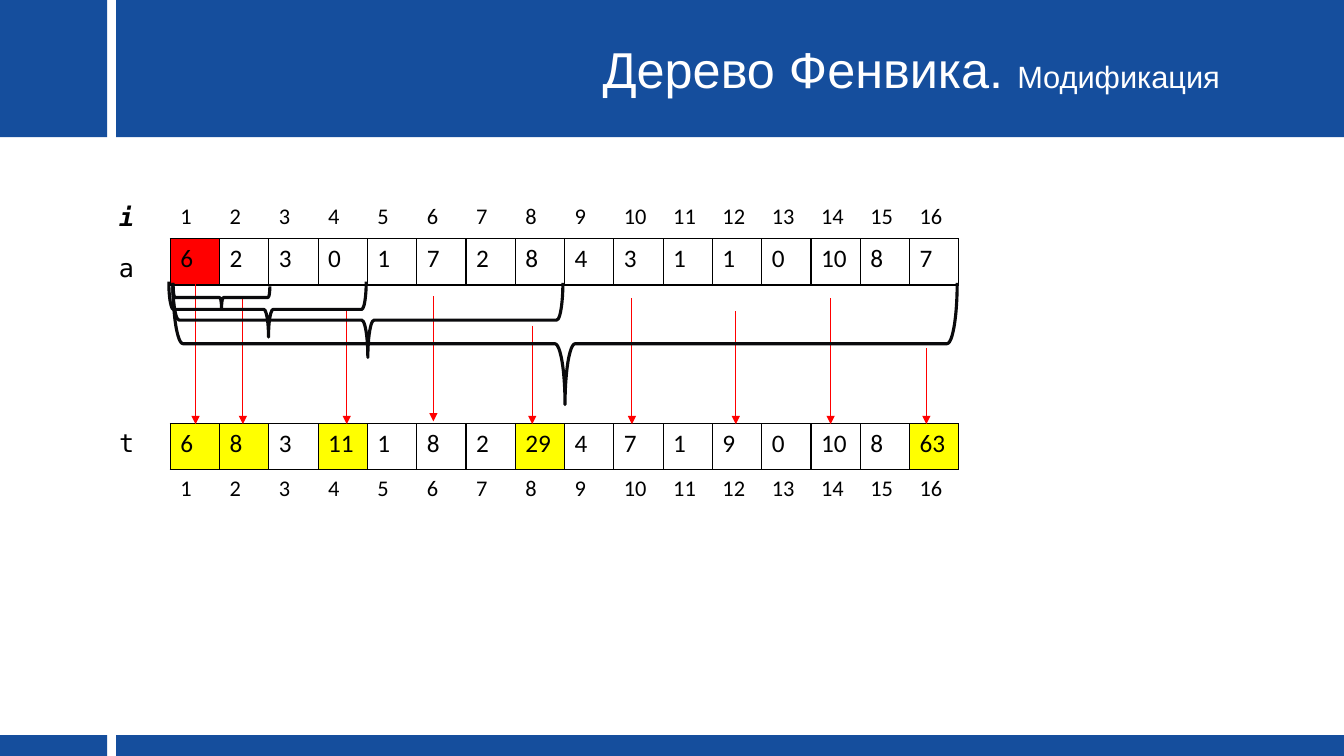
import pptx
import pptx.dml.color
import pptx.enum.shapes
import pptx.enum.text
import pptx.oxml
import pptx.oxml.ns
import pptx.util

Pt = pptx.util.Pt
MSO_SHAPE = pptx.enum.shapes.MSO_SHAPE
COLORS = {"band": "154E9D", "white": "FFFFFF", "black": "000000", "brace": "0A0A0C",
          "arrow": "FF0000", "changed": "FF0000", "updated": "FFFF00"}
PLAIN_TABLE_STYLE = "{2D5ABB26-0587-4C30-8999-92F81FD0307C}"


def rgb(name):
    return pptx.dml.color.RGBColor.from_string(COLORS[name])


def drawing_xml(tag, attributes="", content=""):
    namespace = pptx.oxml.ns.nsdecls("a")
    return pptx.oxml.parse_xml(f"<a:{tag} {namespace} {attributes}>{content}</a:{tag}>")


class SlideBuilder:
    body_font = "Calibri"
    title_font = "Arial"
    code_font = "DejaVu Sans Mono"

    def __init__(self, slide):
        self.slide = slide
        self.shapes = slide.shapes

    def style_font(self, font, size, name, color="black"):
        font.size = Pt(size)
        font.name = name
        font.color.rgb = rgb(color)

    def band(self, left, top, width, height):
        band = self.shapes.add_shape(MSO_SHAPE.RECTANGLE, Pt(left), Pt(top), Pt(width), Pt(height))
        band.shadow.inherit = False
        band.fill.solid()
        band.fill.fore_color.rgb = rgb("band")
        band.line.fill.background()

    def title(self, left, top, width, height, parts):
        title = self.shapes.add_textbox(Pt(left), Pt(top), Pt(width), Pt(height))
        frame = title.text_frame
        frame.word_wrap = True
        frame.vertical_anchor = pptx.enum.text.MSO_ANCHOR.MIDDLE
        paragraph = frame.paragraphs[0]
        paragraph.alignment = pptx.enum.text.PP_ALIGN.CENTER
        for text, size in parts:
            run = paragraph.add_run()
            run.text = text
            self.style_font(run.font, size, self.title_font, "white")

    def label(self, left, top, width, height, text):
        label = self.shapes.add_textbox(Pt(left), Pt(top), Pt(width), Pt(height))
        label.text_frame.word_wrap = False
        label.text_frame.text = text
        self.style_font(label.text_frame.paragraphs[0].font, 18, self.code_font)

    def table(self, left, top, column_widths, row_heights):
        table = self.shapes.add_table(len(row_heights), len(column_widths), Pt(left), Pt(top),
                                      Pt(sum(column_widths)), Pt(sum(row_heights))).table
        table.first_row = False
        table.horz_banding = False
        table._tbl.tblPr.find(pptx.oxml.ns.qn("a:tableStyleId")).text = PLAIN_TABLE_STYLE
        for column, width in zip(table.columns, column_widths):
            column.width = Pt(width)
        for row, height in zip(table.rows, row_heights):
            row.height = Pt(height)
            for cell in row.cells:
                cell.fill.background()
        return table

    def cell_text(self, cell, text, size, name=body_font):
        cell.text = str(text)
        font = cell.text_frame.paragraphs[0].font
        self.style_font(font, size, name)
        return font

    def framed_cell(self, cell, text, fill):
        self.cell_text(cell, text, 18)
        properties = cell._tc.get_or_add_tcPr()
        color = COLORS["black"]
        solid = f'<a:solidFill><a:srgbClr val="{color}"/></a:solidFill>'
        for position, side in enumerate(("lnL", "lnR", "lnT", "lnB")):
            properties.insert(position, drawing_xml(side, f'w="{Pt(1)}"', solid))
        cell.fill.solid()
        cell.fill.fore_color.rgb = rgb(fill)

    def arrow(self, x, top, bottom):
        arrow = self.shapes.add_connector(pptx.enum.shapes.MSO_CONNECTOR.STRAIGHT,
                                          Pt(x), Pt(top), Pt(x), Pt(bottom))
        arrow.line.color.rgb = rgb("arrow")
        arrow.line.width = Pt(0.75)
        arrow.line._get_or_add_ln().append(drawing_xml("tailEnd", 'type="triangle"'))
        arrow._element.spPr.append(drawing_xml("effectLst"))

    def brace_below(self, left, top, span, depth, tip=0.5):
        shift = (span - depth) / 2
        brace = self.shapes.add_shape(MSO_SHAPE.LEFT_BRACE, Pt(left + shift), Pt(top - shift),
                                      Pt(depth), Pt(span))
        brace.rotation = 270
        brace.adjustments[1] = tip
        brace.shadow.inherit = False
        brace.fill.background()
        brace.line.color.rgb = rgb("brace")
        brace.line.width = Pt(2.25)


def main():
    presentation = pptx.Presentation()
    presentation.slide_width = Pt(960)
    presentation.slide_height = Pt(540)
    builder = SlideBuilder(presentation.slides.add_slide(presentation.slide_layouts[6]))

    for top, height in ((0, 98), (525, 15)):
        for left, width in ((0, 76.5), (83, 877)):
            builder.band(left, top, width, height)
    builder.title(374.4, 11.5, 553, 75, [("Дерево Фенвика. ", 36), ("Модификация", 22)])

    source_values = [6, 2, 3, 0, 1, 7, 2, 8, 4, 3, 1, 1, 0, 10, 8, 7]
    tree_values = [6, 8, 3, 11, 1, 8, 2, 29, 4, 7, 1, 9, 0, 10, 8, 63]
    updated_indices = {1, 2, 4, 8, 16}
    arrays = builder.table(77.8, 141.8, [43.8] + [35.23] * 16, [28.3] + [33] * 6)
    index_font = builder.cell_text(arrays.cell(0, 0), "i", 18, builder.code_font)
    index_font.bold = index_font.italic = True
    builder.cell_text(arrays.cell(5, 0), "t", 18, builder.code_font)
    for index, (source, total) in enumerate(zip(source_values, tree_values), start=1):
        for index_row in (0, 6):
            builder.cell_text(arrays.cell(index_row, index), index, 16)
        builder.framed_cell(arrays.cell(1, index), source, "changed" if index == 1 else "white")
        builder.framed_cell(arrays.cell(5, index), total,
                            "updated" if index in updated_indices else "white")
    builder.label(77.8, 176.4, 24.5, 29, "a")

    for x, top, bottom in ((139.7, 191.5, 303), (173.5, 213, 303), (247.7, 222.5, 303),
                           (309.6, 211.7, 301), (380.2, 232.6, 303), (451.4, 213, 303),
                           (525.6, 222.5, 303), (593.3, 213, 303), (661.7, 248.4, 303)):
        builder.arrow(x, top, bottom)

    builder.brace_below(123.8, 204.5, 69, 16)
    builder.brace_below(120.6, 201.2, 141, 39.6, tip=0.505)
    builder.brace_below(123.5, 202, 278.6, 53.3)
    builder.brace_below(123.5, 202, 560.2, 87)

    presentation.save("out.pptx")


if __name__ == "__main__":
    main()
